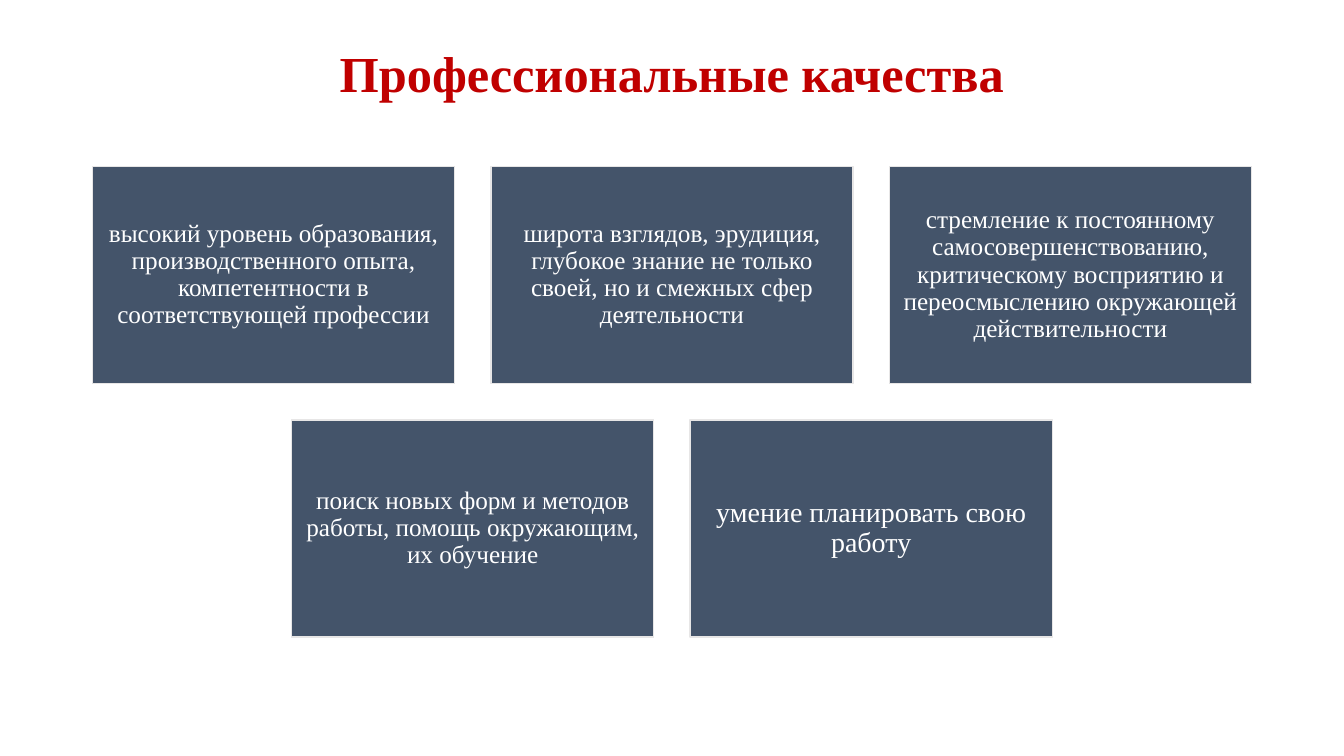
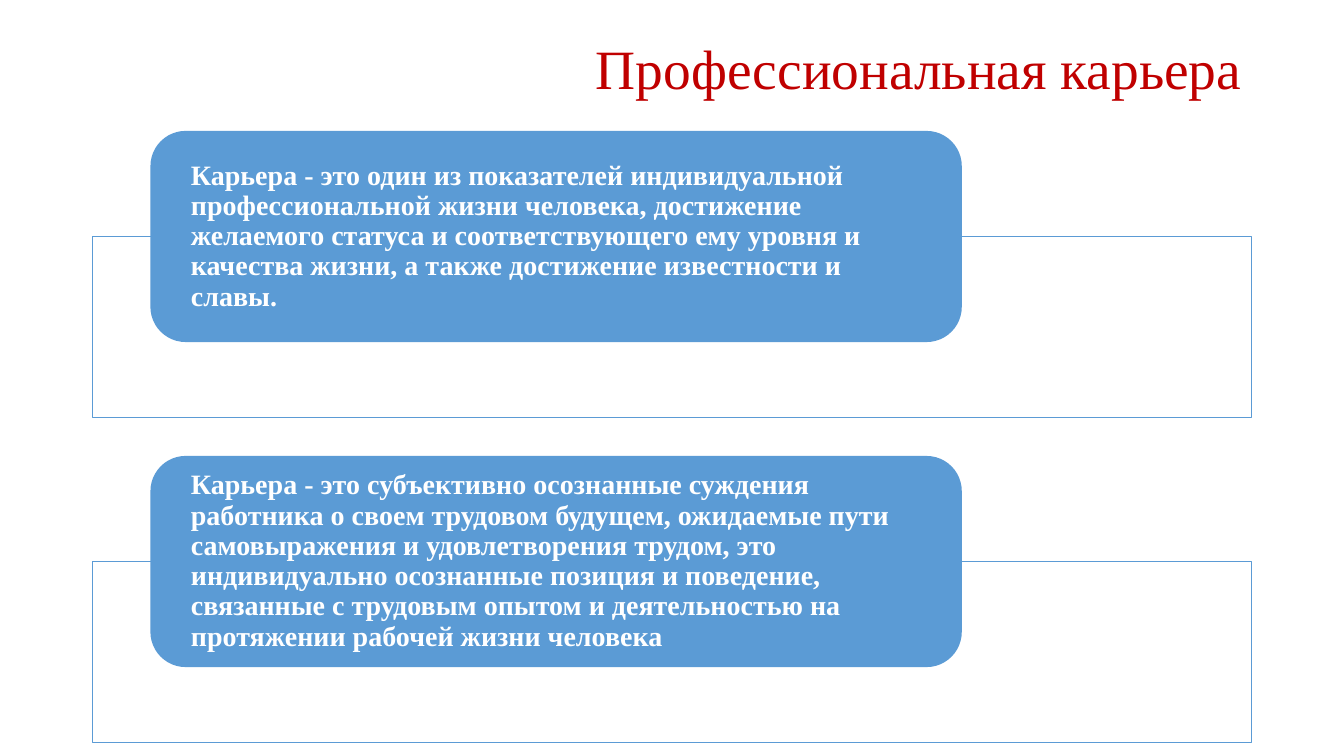
from dataclasses import dataclass

from lxml import etree
from pptx import Presentation
from pptx.dml.color import RGBColor
from pptx.enum import shapes, text
from pptx.oxml import ns
from pptx.util import Cm, Pt


@dataclass(frozen=True)
class Theme:
    font: str = "Times New Roman"
    red: str = "C00000"
    slate: str = "44546A"
    blue: str = "5B9BD5"
    pale: str = "E7E6E6"
    white: str = "FFFFFF"
    head: float = 36
    large: float = 39.6
    body: float = 18
    big: float = 20


LEFT, WIDTH = 2.33, 29.21
ALIGN = text.PP_ALIGN
KIND = shapes.MSO_SHAPE


class Deck:
    def __init__(self, theme):
        self.theme = theme
        self.prs = Presentation()
        self.prs.slide_width, self.prs.slide_height = Cm(33.87), Cm(19.05)
        self.slide = None

    def page(self):
        self.slide = self.prs.slides.add_slide(self.prs.slide_layouts[6])

    def label(self, shape, words, size, color, align, bold=False, pad=(0.25, 0.13)):
        frame = shape.text_frame
        frame.word_wrap = True
        frame.vertical_anchor = text.MSO_ANCHOR.MIDDLE
        frame.margin_left = frame.margin_right = Cm(pad[0])
        frame.margin_top = frame.margin_bottom = Cm(pad[1])
        para = frame.paragraphs[0]
        para.text = words
        para.alignment = align
        para.line_spacing = 0.9
        para.font.name = self.theme.font
        para.font.size = Pt(size)
        para.font.bold = bold
        para.font.color.rgb = RGBColor.from_string(color)

    def title(self, words, height, size, align, bold=False):
        box = self.slide.shapes.add_textbox(Cm(LEFT), Cm(1.01), Cm(WIDTH), Cm(height))
        self.label(box, words, size, self.theme.red, align, bold)

    def shape(self, kind, area, fill, line=None, weight=1):
        item = self.slide.shapes.add_shape(kind, *map(Cm, area))
        item.shadow.inherit = False
        item.fill.solid()
        item.fill.fore_color.rgb = RGBColor.from_string(fill)
        if line:
            item.line.color.rgb = RGBColor.from_string(line)
            item.line.width = Pt(weight)
        else:
            item.line.fill.background()
        return item

    def card(self, area, words, size):
        item = self.shape(KIND.RECTANGLE, area, self.theme.slate, self.theme.pale)
        self.label(item, words, size, self.theme.white, ALIGN.CENTER, pad=(0.18, 0.18))

    def frame(self, area):
        item = self.shape(KIND.RECTANGLE, area, self.theme.white, self.theme.blue, 0.5)
        color = item.element.spPr.find(ns.qn("a:solidFill"))[0]
        etree.SubElement(color, ns.qn("a:alpha")).set("val", "90000")

    def pill(self, area, words):
        item = self.shape(KIND.ROUNDED_RECTANGLE, area, self.theme.blue)
        self.label(item, words, self.theme.big, self.theme.white, ALIGN.LEFT, True, (0.76, 0))


def traits(deck):
    theme = deck.theme
    deck.page()
    deck.title("Профессиональные качества", 1.83, theme.head, ALIGN.CENTER, True)
    rows = [
        [
            ("высокий уровень образования, производственного опыта, "
             "компетентности в соответствующей профессии", theme.body),
            ("широта взглядов, эрудиция, глубокое знание не только своей, "
             "но и смежных сфер деятельности", theme.body),
            ("стремление к постоянному самосовершенствованию, критическому "
             "восприятию и переосмыслению окружающей действительности", theme.body),
        ],
        [
            ("поиск новых форм и методов работы, помощь окружающим, их обучение", theme.body),
            ("умение планировать свою работу", theme.big),
        ],
    ]
    wide = WIDTH / 3.2
    high, gap = wide * 0.6, wide * 0.1
    for r, row in enumerate(rows):
        span = len(row) * (wide + gap) - gap
        start = LEFT + (WIDTH - span) / 2
        for c, (words, size) in enumerate(row):
            area = (start + c * (wide + gap), 4.19 + r * (high + gap), wide, high)
            deck.card(area, words, size)


def career(deck):
    deck.page()
    deck.title("Профессиональная карьера", 1.57, deck.theme.large, ALIGN.RIGHT)
    items = [
        "Карьера - это один из показателей индивидуальной профессиональной жизни "
        "человека, достижение желаемого статуса и соответствующего ему уровня и "
        "качества жизни, а также достижение известности и славы.",
        "Карьера - это субъективно осознанные суждения работника о своем трудовом "
        "будущем, ожидаемые пути самовыражения и удовлетворения трудом, это "
        "индивидуально осознанные позиция и поведение, связанные с трудовым опытом "
        "и деятельностью на протяжении рабочей жизни человека",
    ]
    for i, words in enumerate(items):
        top = 3.3 + i * 8.19
        deck.frame((LEFT, top + 2.66, WIDTH, 4.56))
        deck.pill((LEFT + WIDTH * 0.05, top, WIDTH * 0.7, 5.32), words)


def main():
    deck = Deck(Theme())
    traits(deck)
    career(deck)
    deck.prs.save("out.pptx")


if __name__ == "__main__":
    main()
